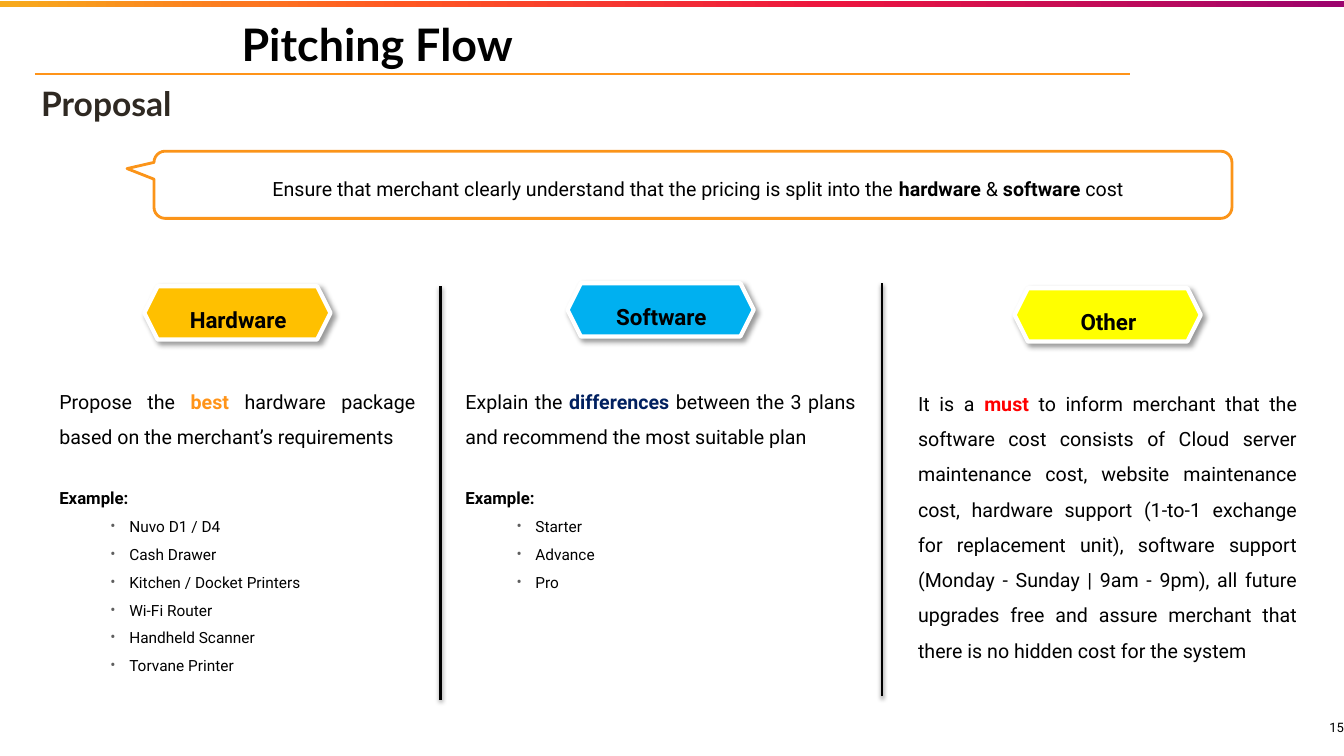
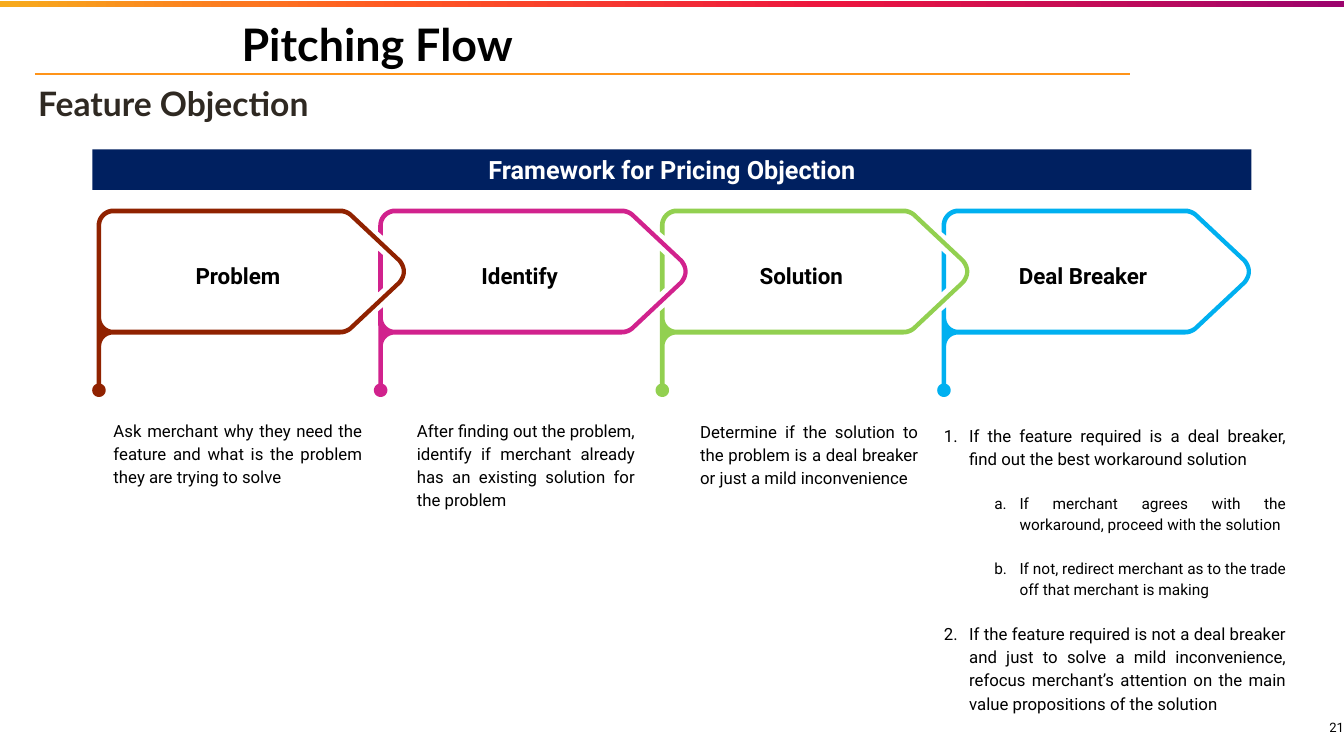
import math

import pptx
import pptx.util
import pptx.dml.color
import pptx.enum.shapes
import pptx.enum.text
import pptx.oxml
import pptx.oxml.ns
import lxml.etree

Pt = pptx.util.Pt
SHAPE = pptx.enum.shapes.MSO_SHAPE
ALIGN = pptx.enum.text.PP_ALIGN
ANCHOR = pptx.enum.text.MSO_ANCHOR
qn = pptx.oxml.ns.qn

COLORS = {
    "black": "000000", "white": "FFFFFF", "heading": "2F2922", "bullet": "5E5E5E",
    "orange": "FF9419", "callout": "FB9419", "navy": "002060", "red": "FF0000",
    "amber": "FFC000", "blue": "00B0F0", "yellow": "FFFF00",
    "brown": "902200", "pink": "D1228D", "green": "92D050",
}
BAND_STOPS = [(0, "F7AB1D"), (30, "FF5722"), (62, "EC153F"), (100, "9C036D")]

LABEL = {"size": 16, "bold": True}
CENTER = {"alignment": ALIGN.CENTER}
OPEN_CENTER = {"alignment": ALIGN.CENTER, "line_spacing": 1.5}
OPEN = {"line_spacing": 1.5}
OPEN_JUSTIFY = {"alignment": ALIGN.JUSTIFY, "line_spacing": 1.5}
JUSTIFY = {"alignment": ALIGN.JUSTIFY, "line_spacing": 1.15}


# ---- helpers ----
def rgb(name):
    return pptx.dml.color.RGBColor.from_string(COLORS[name])


def sub(parent, tag, **attrs):
    el = lxml.etree.SubElement(parent, qn(tag))
    for key, value in attrs.items():
        el.set(key, str(value))
    return el


def style(sp, fill, line=None, width=0):
    sp.shadow.inherit = False
    sp.fill.solid()
    sp.fill.fore_color.rgb = rgb(fill)
    if line:
        sp.line.color.rgb = rgb(line)
        sp.line.width = Pt(width)
    else:
        sp.line.fill.background()
    return sp


def add_shape(s, kind, box, fill, line=None, width=0):
    sp = s.shapes.add_shape(kind, *map(Pt, box))
    return style(sp, fill, line, width)


def add_line(s, x1, y1, x2, y2, color, width):
    sp = s.shapes.add_connector(pptx.enum.shapes.MSO_CONNECTOR.STRAIGHT,
                                *map(Pt, (x1, y1, x2, y2)))
    sp.line.color.rgb = rgb(color)
    sp.line.width = Pt(width)
    sub(sp._element.spPr, "a:effectLst")
    return sp


def drop_shadow(sp, alpha, blur, dist, angle):
    effects = sp._element.spPr.find(qn("a:effectLst"))
    outer = sub(effects, "a:outerShdw", blurRad=Pt(blur), dist=Pt(dist),
                dir=angle * 60000, algn="ctr", rotWithShape=0)
    sub(sub(outer, "a:srgbClr", val=COLORS["black"]), "a:alpha", val=alpha * 1000)


def para(runs, size=12, fmt=None, **extra):
    """A paragraph: runs are plain strings or (text, font values)."""
    runs = [runs] if isinstance(runs, str) else runs
    return {"runs": runs, "size": size, "fmt": fmt or {}, **extra}


def set_marker(p, marker, color):
    pPr = p._p.get_or_add_pPr()
    sub(sub(pPr, "a:buClr"), "a:srgbClr", val=COLORS[color])
    sub(pPr, "a:buFont", typeface="Roboto")
    if marker == "•":
        sub(pPr, "a:buChar", char=marker)
    else:
        sub(pPr, "a:buAutoNum", type=marker)


def fill_text(sp, paras, inset=(7.2, 3.6), anchor=ANCHOR.TOP):
    tf = sp.text_frame
    frame = {"word_wrap": True, "vertical_anchor": anchor,
             "margin_left": Pt(inset[0]), "margin_right": Pt(inset[0]),
             "margin_top": Pt(inset[1]), "margin_bottom": Pt(inset[1])}
    for key, value in frame.items():
        setattr(tf, key, value)
    for i, item in enumerate(paras):
        p = tf.paragraphs[0] if i == 0 else tf.add_paragraph()
        if "marker" in item:
            set_marker(p, item["marker"], item.get("marker_color", "black"))
        for key, value in item["fmt"].items():
            setattr(p, key, value)
        left, first = item.get("indent", (0, 0))
        pPr = p._p.get_or_add_pPr()
        pPr.set("marL", str(Pt(left)))
        pPr.set("indent", str(Pt(first)))
        for run in item["runs"]:
            words, values = (run, {}) if isinstance(run, str) else run
            r = p.add_run()
            r.text = words
            font = {"name": item.get("font", "Roboto"), "size": Pt(item["size"]),
                    "bold": item.get("bold", False), **values}
            r.font.color.rgb = rgb(font.pop("color", item.get("color", "black")))
            for key, value in font.items():
                setattr(r.font, key, value)


def add_text(s, box, paras, **frame):
    fill_text(s.shapes.add_textbox(*map(Pt, box)), paras, **frame)


# ---- parts shared by the slides ----
def base_slide(prs, heading, heading_left, number):
    s = prs.slides.add_slide(prs.slide_layouts[6])
    # gradient band and rule under the title
    band = add_shape(s, SHAPE.RECTANGLE, (0, 0.5, 960, 4.5), "orange")
    band.fill.gradient()
    band.fill.gradient_angle = 0
    stops = band._element.spPr.find(".//" + qn("a:gsLst"))
    for stop in list(stops):
        stops.remove(stop)
    for pos, color in BAND_STOPS:
        sub(sub(stops, "a:gs", pos=pos * 1000), "a:srgbClr", val=color)
    add_line(s, 25, 52.8, 807, 52.8, "orange", 1.4)
    # title, heading and page number
    middle = {"inset": (2, 2), "anchor": ANCHOR.MIDDLE}
    add_text(s, (170.6, 3.6, 609, 55.4),
             [para("Pitching Flow", 32, font="Lato", bold=True)], **middle)
    add_text(s, (heading_left, 59, 776, 29),
             [para(heading, 24, font="Lato", bold=True, color="heading")], **middle)
    add_text(s, (902.4, 499, 57.6, 41),
             [para(number, 9.3, {"alignment": ALIGN.RIGHT})],
             inset=(0, 0), anchor=ANCHOR.MIDDLE)
    return s


# ---- proposal slide ----
def callout(s, box, runs):
    left, top, width, height = box
    sp = add_shape(s, SHAPE.ROUNDED_RECTANGULAR_CALLOUT, box, "white", "callout", 2)
    for i, value in enumerate((-0.525, -0.241, 0.167)):
        sp.adjustments[i] = value
    add_text(s, (left + 7, top + 6.5, width - 7, height - 18),
             [para(runs, 14, OPEN_CENTER)])


def proposal_column(s, box, gap, name, color, paras):
    """Hexagon centred on the column, text below it at the given gap."""
    left, top, width, height = box
    tag_left = left + (width - 133) / 2
    sp = add_shape(s, SHAPE.HEXAGON, (tag_left, top, 133, 38), color, "white", 3)
    drop_shadow(sp, 40, 4, 3, 45)
    add_text(s, (tag_left + 6.5, top + 1.3, 121, 33), [para(name, fmt=OPEN_CENTER, **LABEL)])
    add_text(s, (left, top + gap, width, height - gap), paras, inset=(7.2, 7.2))


def example_list(items):
    first = para("Example:", 12, {**OPEN, "space_before": Pt(21)}, bold=True)
    return [first] + [
        para(item, 11, {**OPEN, "level": 1}, indent=(50, -13.5),
             marker="•", marker_color="bullet") for item in items]


def proposal_slide(prs):
    s = base_slide(prs, "Proposal", 27.4, "15")
    strong = {"bold": True}
    callout(s, (110, 108, 770, 48), [
        "Ensure that merchant clearly understand that the pricing is split into the ",
        ("hardware", strong), " & ", ("software", strong), " cost"])
    hardware = [para(["Propose the ", ("best", {"bold": True, "color": "orange"}),
                      " hardware package based on the merchant’s requirements"],
                     14, OPEN_JUSTIFY)]
    hardware += example_list(["Nuvo D1 / D4", "Cash Drawer", "Kitchen / Docket Printers",
                              "Wi-Fi Router", "Handheld Scanner", "Torvane Printer"])
    software = [para(["Explain the ", ("differences", {"bold": True, "color": "navy"}),
                      " between the 3 plans and recommend the most suitable plan"],
                     14, OPEN_JUSTIFY)]
    software += example_list(["Starter", "Advance", "Pro"])
    other = [para(["It is a ", ("must", {"bold": True, "color": "red"}),
                   " to inform merchant that the software cost consists of Cloud server "
                   "maintenance cost, website maintenance cost, hardware support (1-to-1 "
                   "exchange for replacement unit), software support (Monday - Sunday | "
                   "9am - 9pm), all future upgrades free and assure merchant that there "
                   "is no hidden cost for the system"], 14, OPEN_JUSTIFY)]
    for column in [
        ((35.3, 204.5, 268.6, 279), 58.3, "Hardware", "amber", hardware),
        ((325.4, 202.3, 293, 281), 60.5, "Software", "blue", software),
        ((648.7, 205.9, 285, 279), 58.3, "Other", "yellow", other),
    ]:
        proposal_column(s, *column)
    # dividers
    for x, y in ((314.6, 204.5), (630, 202.3)):
        drop_shadow(add_line(s, x, y, x, y + 295.2, "black", 2), 38, 3.1, 1.6, 90)


# ---- feature objection slide ----
AXIS = 45  # the arrow outline is symmetric about this height
# each entry is a line end (2 numbers) or a curve (6 numbers)
OUTER = [(3, 16.6), (3, 12), (3, 5.5, 8.5, 0, 15, 0), (177, 0),
         (180, 0, 183.6, 1.4, 185.8, 3.6), (220.3, 36), (222.5, 38.2, 224, 41.8, 224, AXIS)]
INNER = [(6.3, 19.4), (6.3, 12), (6.3, 7.3, 10.2, 3.4, 15, 3.4), (177, 3.4),
         (179.5, 3.4, 181.8, 4.3, 183.6, 5.8), (218.2, 38.2),
         (219.8, 40.4, 221, 42.5, 221, AXIS)]
FILLET = [(15, 90), (10, 90, 6.3, 93.6, 6.3, 98.6)]
EDGE_PIECE = [(3, 30.2), (6.3, 33.2), (6.3, 56.8), (3, 59.8)]


def flatten(segments, steps=10):
    pts = []
    for seg in segments:
        if len(seg) == 2:
            pts.append(seg)
            continue
        ctrl = [pts[-1], seg[:2], seg[2:4], seg[4:]]
        for i in range(1, steps + 1):
            t = i / steps
            w = ((1 - t) ** 3, 3 * t * (1 - t) ** 2, 3 * t * t * (1 - t), t ** 3)
            pts.append(tuple(sum(k * c[axis] for k, c in zip(w, ctrl)) for axis in (0, 1)))
    return pts


def mirror(pts):
    return [(x, 2 * AXIS - y) for x, y in reversed(pts)]


def arrow_contours(crossed):
    top, inside = flatten(OUTER), flatten(INNER)
    inside += mirror(inside)
    lower = [pt for pt in mirror(top) if pt[0] > 15]
    dot = [(4.7 + 4.8 * math.cos(math.radians(a)), 129.8 + 4.8 * math.sin(math.radians(a)))
           for a in range(-70, 251, 10)]
    outside = top + lower + flatten(FILLET) + dot + [(3, 2 * AXIS - 16.6)]
    if crossed:  # left edge is cut where the previous arrow passes
        return [outside + inside[::-1], EDGE_PIECE]
    return [outside, inside]


def step(s, left, top, name, color, crossed, note_box, paras, inset):
    fb = None
    for contour in arrow_contours(crossed):
        pts = [(round(x * 100), round(y * 100)) for x, y in contour]
        if fb is None:
            fb = s.shapes.build_freeform(*pts[0], scale=127)
        else:
            fb.move_to(*pts[0])
        fb.add_line_segments(pts[1:], close=True)
    style(fb.convert_to_shape(Pt(left), Pt(top)), color)
    add_text(s, (left + 36, top + 26.7, 136, 33),
             [para(name, fmt=OPEN_CENTER, **LABEL)], anchor=ANCHOR.MIDDLE)
    dx, dy, width, height = note_box
    add_text(s, (left + dx, top + dy, width, height), paras, inset=inset)


def objection_slide(prs):
    s = base_slide(prs, "Feature Objection", 25.2, "21")
    banner = add_shape(s, SHAPE.RECTANGLE, (66, 106.8, 828, 28.8), "navy")
    fill_text(banner, [para("Framework for Pricing Objection", 18, CENTER,
                            bold=True, color="white")], anchor=ANCHOR.MIDDLE)

    def note(words):
        return [para(words, 12, JUSTIFY, indent=(12, 0))]

    spaced = {**JUSTIFY, "space_before": Pt(16)}
    number = {"indent": (30, -18), "marker": "arabicPeriod"}
    letter = {"indent": (66, -18), "marker": "alphaLcPeriod"}
    deal = [
        para("If the feature required is a deal breaker, find out the best workaround "
             "solution", 12, JUSTIFY, **number),
        para("If merchant agrees with the workaround, proceed with the solution",
             11, {**spaced, "level": 1}, **letter),
        para("If not, redirect merchant as to the trade off that merchant is making",
             11, {**spaced, "level": 1}, **letter),
        para("If the feature required is not a deal breaker and just to solve a mild "
             "inconvenience, refocus merchant’s attention on the main value propositions "
             "of the solution", 12, spaced, **number),
    ]
    steps = [
        ("Problem", "brown", (-4, 145.5, 204, 56), note(
            "Ask merchant why they need the feature and what is the problem they are "
            "trying to solve"), (7.2, 3.6)),
        ("Identify", "pink", (11.5, 145.5, 182, 73), note(
            "After finding out the problem, identify if merchant already has an existing "
            "solution for the problem"), (7.2, 3.6)),
        ("Solution", "green", (12.6, 146.5, 182, 56), note(
            "Determine if the solution to the problem is a deal breaker or just a mild "
            "inconvenience"), (7.2, 3.6)),
        ("Deal Breaker", "blue", (-14.4, 145.5, 270.7, 227), deal, (7.2, 7.2)),
    ]
    for i, (name, color, *rest) in enumerate(steps):
        step(s, 66 + 201.2 * i, 149, name, color, i > 0, *rest)


def main():
    prs = pptx.Presentation()
    prs.slide_width, prs.slide_height = Pt(960), Pt(540)
    proposal_slide(prs)
    objection_slide(prs)
    prs.save("out.pptx")


if __name__ == "__main__":
    main()
